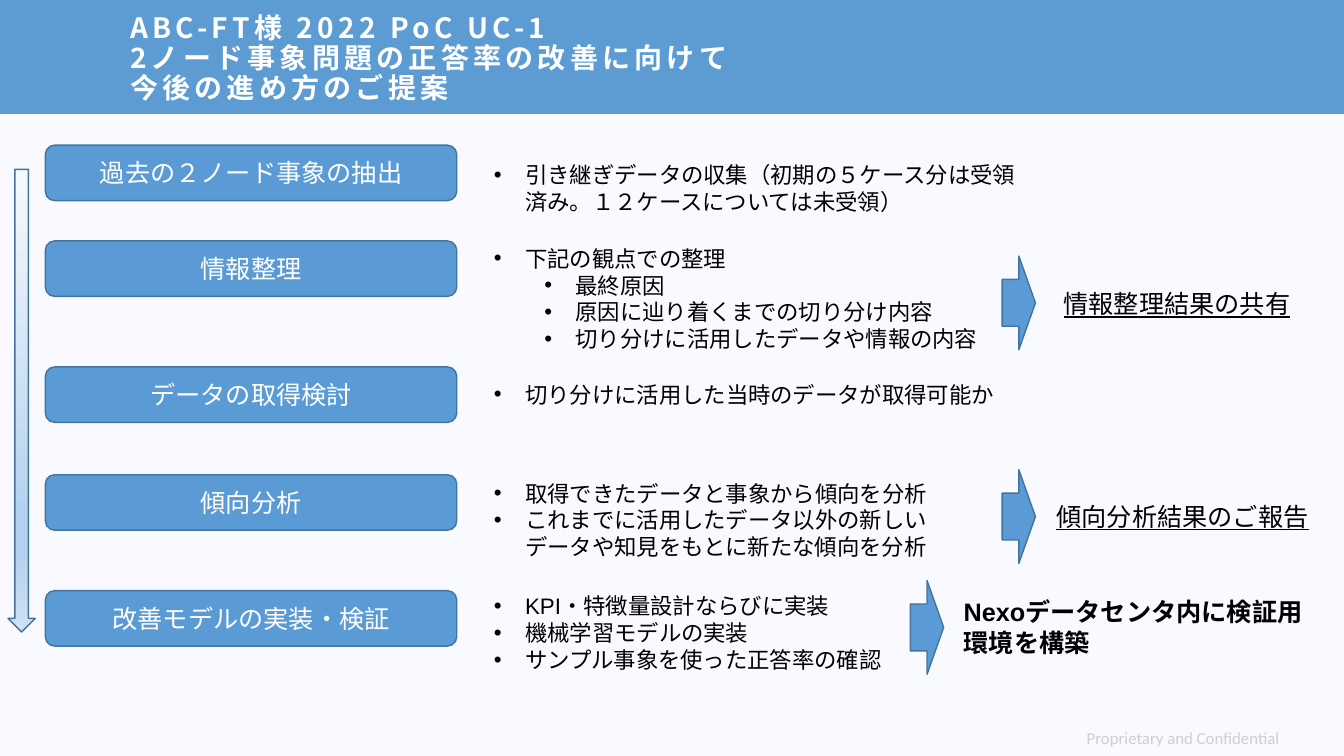
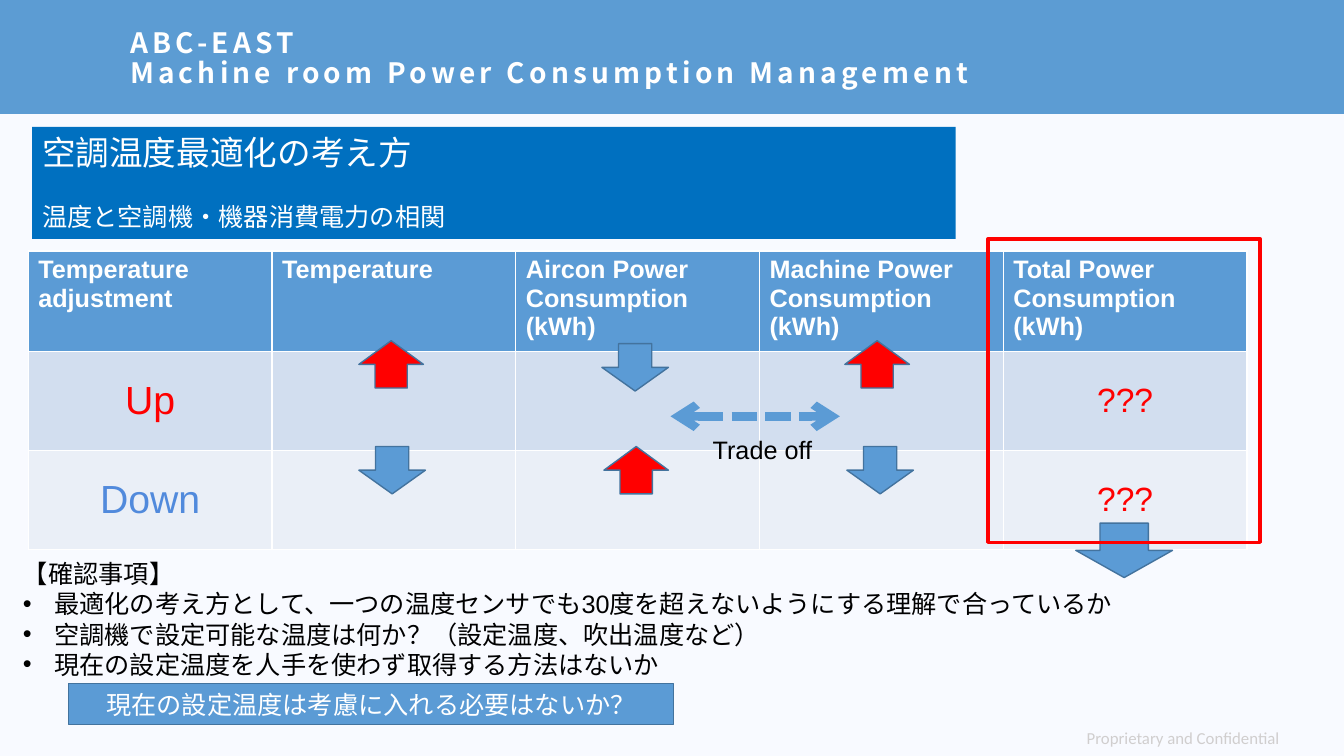
from pptx import Presentation
from pptx.dml.color import RGBColor
from pptx.enum.dml import MSO_LINE
from pptx.enum.shapes import MSO_CONNECTOR, MSO_SHAPE as Preset
from pptx.enum.text import MSO_ANCHOR as Anchor, MSO_AUTO_SIZE, PP_ALIGN as Align
from pptx.oxml.ns import qn
from pptx.util import Inches, Pt
from lxml.etree import SubElement

PAPER, BAND, FOOTER = "F8FAFF", "5C9CD3", "D0CECE"
BLUE, OUTLINE, DEEP_BLUE, DOWN_BLUE = "5B9BD5", "43739E", "0070C0", "518ADC"
RED, WHITE, BLACK = "FF0000", "FFFFFF", "000000"
ROW_FILLS = [BLUE, "D2DEEF", "EAEFF7"]
TITLE_BOX = (1.19, 0.18, 11.8, 0.82)


def rgb(value):
    return RGBColor.from_string(value)


def inches(box):
    return [Inches(length) for length in box]


# ---- Text and shape helpers ----
def style(para, size, color=BLACK, font="Arial", bold=False, underline=False):
    for span in para.runs:
        span.font.size = Pt(size)
        span.font.name = font
        span.font.bold = bold
        span.font.underline = underline
        span.font.color.rgb = rgb(color)


def add_bullet(para, level=0):
    para.level = level
    properties = para._p.get_or_add_pPr()
    properties.set("marL", str(Inches(0.31 + 0.5 * level)))
    properties.set("indent", str(Inches(-0.31)))
    SubElement(properties, qn("a:buFont")).set("typeface", "Arial")
    SubElement(properties, qn("a:buChar")).set("char", "•")


def add_text(page, box, text, size=18, **look):
    frame = page.shapes.add_textbox(*inches(box)).text_frame
    frame.word_wrap = True
    frame.text = text
    for para in frame.paragraphs:
        style(para, size, **look)
    return frame


def add_list(page, box, items, size=16, heading=None):
    """Bulleted list; each item is a pair of level and text."""
    texts = [text for _, text in items]
    frame = add_text(page, box, "\n".join([heading] + texts if heading else texts), size)
    for para, (level, _) in zip(frame.paragraphs[-len(items):], items):
        add_bullet(para, level)


def add_block(page, preset, box, fill=BLUE, line=OUTLINE, weight=1, text=""):
    shape = page.shapes.add_shape(preset, *inches(box))
    shape.shadow.inherit = False
    if fill:
        shape.fill.solid()
        shape.fill.fore_color.rgb = rgb(fill)
    else:
        shape.fill.background()
    if line:
        shape.line.color.rgb = rgb(line)
        shape.line.width = Pt(weight)
    else:
        shape.line.fill.background()
    if text:
        frame = shape.text_frame
        frame.text = text
        frame.vertical_anchor = Anchor.MIDDLE
        frame.paragraphs[0].alignment = Align.CENTER
        style(frame.paragraphs[0], 18, WHITE, "Calibri")
    return shape


# ---- Shared look: background, band, footer, title ----
def prepare_layout(deck, layout):
    background = deck.slide_master.background.fill
    background.solid()
    background.fore_color.rgb = rgb(PAPER)
    title = layout.placeholders[0]
    title.left, title.top, title.width, title.height = inches(TITLE_BOX)
    title.text_frame.vertical_anchor = Anchor.MIDDLE


def move_to_layout(page, layout):
    """Draw the band and footer on a page, then hand them to its layout."""
    band = add_block(page, Preset.RECTANGLE, (0, 0, 13.34, 1.13), BAND, None)
    add_text(page, (10.68, 7.17, 2.6, 0.3), "Proprietary and Confidential", 12,
             color=FOOTER, font="Calibri")
    footer = page.shapes[-1]
    for shape in (band, footer):
        layout.shapes.element.append(shape.element)


def set_title(page, lines):
    frame = page.shapes.title.text_frame
    frame.auto_size = MSO_AUTO_SIZE.NONE
    para = frame.paragraphs[0]
    para.text = "\v".join(lines)
    para.alignment = Align.LEFT
    para.line_spacing = 0.9
    style(para, 20, WHITE, "Noto Sans CJK JP", bold=True)
    for span in para.runs:
        span._r.get_or_add_rPr().set("spc", "300")


# ---- Slide 1: proposal steps ----
STEPS = [  # step top, step name, list top, list width, list items
    (1.44, "過去の２ノード事象の抽出", 1.55, 5.53,
     [(0, "引き継ぎデータの収集（初期の５ケース分は受領済み。１２ケースについては未受領）")]),
    (2.39, "情報整理", 2.38, 8.08,
     [(0, "下記の観点での整理"), (1, "最終原因"),
      (1, "原因に辿り着くまでの切り分け内容"),
      (1, "切り分けに活用したデータや情報の内容")]),
    (3.64, "データの取得検討", 3.73, 8.08,
     [(0, "切り分けに活用した当時のデータが取得可能か")]),
    (4.71, "傾向分析", 4.71, 4.66,
     [(0, "取得できたデータと事象から傾向を分析"),
      (0, "これまでに活用したデータ以外の新しいデータや知見をもとに新たな傾向を分析")]),
    (5.86, "改善モデルの実装・検証", 5.83, 4.66,
     [(0, "KPI・特徴量設計ならびに実装"), (0, "機械学習モデルの実装"),
      (0, "サンプル事象を使った正答率の確認")]),
]
OUTCOMES = [  # arrow position, text box, text, look
    ((9.94, 2.54), (10.45, 2.81, 2.97, 0.4), "情報整理結果の共有", {"underline": True}),
    ((9.94, 4.66), (10.38, 4.92, 2.97, 0.4), "傾向分析結果のご報告", {"underline": True}),
    ((9.03, 5.76), (9.46, 5.87, 3.66, 0.71), "Nexoデータセンタ内に検証用環境を構築",
     {"bold": True}),
]
FLOW_STOPS = [(0, "F7FAFD"), (74, "B5D2EC"), (83, "B5D2EC"), (100, "CEE1F2")]


def add_flow_arrow(page, box):
    arrow = add_block(page, Preset.DOWN_ARROW, box)
    arrow.fill.gradient()
    arrow.fill.gradient_angle = 270
    stops = arrow.element.find(".//" + qn("a:gsLst"))
    for stop in list(stops):
        stops.remove(stop)
    for percent, color in FLOW_STOPS:
        stop = SubElement(stops, qn("a:gs"))
        stop.set("pos", str(percent * 1000))
        SubElement(stop, qn("a:srgbClr")).set("val", color)


def build_proposal(page):
    set_title(page, ["ABC-FT様 2022 PoC UC-1", "2ノード事象問題の正答率の改善に向けて",
                     "今後の進め方のご提案"])
    for top, name, list_top, width, items in STEPS:
        add_block(page, Preset.ROUNDED_RECTANGLE, (0.45, top, 4.08, 0.55), text=name)
        add_list(page, (4.8, list_top, width, 0.27 * len(items) + 0.1), items)
    for position, box, text, look in OUTCOMES:
        add_block(page, Preset.RIGHT_ARROW, (*position, 0.33, 0.93))
        add_text(page, box, text, **look)
    add_flow_arrow(page, (0.08, 1.68, 0.27, 4.59))


# ---- Slide 2: power consumption ----
HEADERS = ["Temperature adjustment", "Temperature", "Aircon Power Consumption (kWh)",
           "Machine Power Consumption (kWh)", "Total Power Consumption (kWh)"]
ROWS = [HEADERS, ["Up", "", "", "", "???"], ["Down", "", "", "", "???"]]
CHECKS = ["最適化の考え方として、一つの温度センサでも30度を超えないようにする理解で合っているか",
          "空調機で設定可能な温度は何か？（設定温度、吹出温度など）",
          "現在の設定温度を人手を使わず取得する方法はないか"]
TRENDS = [(3.56, 3.38, "up"), (3.56, 4.43, "down"), (5.97, 3.41, "down"),
          (5.99, 4.43, "up"), (8.38, 3.38, "up"), (8.4, 4.43, "down")]


def add_subject(page, box):
    shape = add_block(page, Preset.RECTANGLE, box, DEEP_BLUE, None)
    frame = shape.text_frame
    frame.vertical_anchor = Anchor.TOP
    frame.text = "空調温度最適化の考え方\n温度と空調機・機器消費電力の相関"
    for para, size in zip(frame.paragraphs, (24, 18)):
        para.alignment = Align.LEFT
        style(para, size, WHITE)
    frame.paragraphs[1].space_before = Pt(21)


def add_power_table(page, box):
    table = page.shapes.add_table(len(ROWS), len(HEADERS), *inches(box)).table
    for row, texts in enumerate(ROWS):
        for column, text in enumerate(texts):
            cell = table.cell(row, column)
            cell.fill.solid()
            cell.fill.fore_color.rgb = rgb(ROW_FILLS[row])
            if not text:
                continue
            cell.text = text
            para = cell.text_frame.paragraphs[0]
            if row == 0:
                style(para, 18, WHITE, bold=True)
                continue
            cell.vertical_anchor = Anchor.MIDDLE
            para.alignment = Align.CENTER
            style(para, 24 if column else 28, DOWN_BLUE if text == "Down" else RED)


def add_trade_off(page, left, right, middle):
    link = page.shapes.add_connector(MSO_CONNECTOR.STRAIGHT,
                                     *inches((left, middle, right, middle)))
    link.line.color.rgb = rgb(BLUE)
    link.line.width = Pt(6)
    link.line.dash_style = MSO_LINE.SQUARE_DOT
    outline = link.line._get_or_add_ln()
    for end in ("a:headEnd", "a:tailEnd"):
        SubElement(outline, qn(end)).set("type", "arrow")
    SubElement(link.element.spPr, qn("a:effectLst"))
    add_text(page, (left + 0.32, middle + 0.13, 1.28, 0.4), "Trade off")


def build_power(page):
    set_title(page, ["ABC-EAST", "Machine room Power Consumption Management"])
    add_subject(page, (0.32, 1.26, 9.16, 1.11))
    add_list(page, (0.13, 5.49, 11.5, 1.3), [(0, text) for text in CHECKS], 18,
             heading="【確認事項】")
    add_power_table(page, (0.28, 2.49, 12.09, 2.94))
    # Trend arrows inside the table, and the expected total below it
    for left, top, trend in TRENDS:
        preset, color, width = {"up": (Preset.UP_ARROW, RED, 0.64),
                                "down": (Preset.DOWN_ARROW, BLUE, 0.66)}[trend]
        add_block(page, preset, (left, top, width, 0.47), color)
    add_block(page, Preset.DOWN_ARROW, (10.67, 5.19, 0.96, 0.54))
    add_trade_off(page, 6.65, 8.33, 4.13)
    # Highlight around the total column, and the closing question
    add_block(page, Preset.RECTANGLE, (9.8, 2.37, 2.7, 3.01), None, RED, 2.5)
    add_block(page, Preset.RECTANGLE, (0.68, 6.78, 6, 0.41),
              text="現在の設定温度は考慮に入れる必要はないか？")


def main():
    deck = Presentation()
    deck.slide_width, deck.slide_height = Inches(13.33), Inches(7.5)
    layout = deck.slide_layouts.get_by_name("Title Only")
    prepare_layout(deck, layout)
    pages = [deck.slides.add_slide(layout) for _ in range(2)]
    move_to_layout(pages[0], layout)
    for page, build in zip(pages, (build_proposal, build_power)):
        build(page)
    deck.save("out.pptx")


if __name__ == "__main__":
    main()
